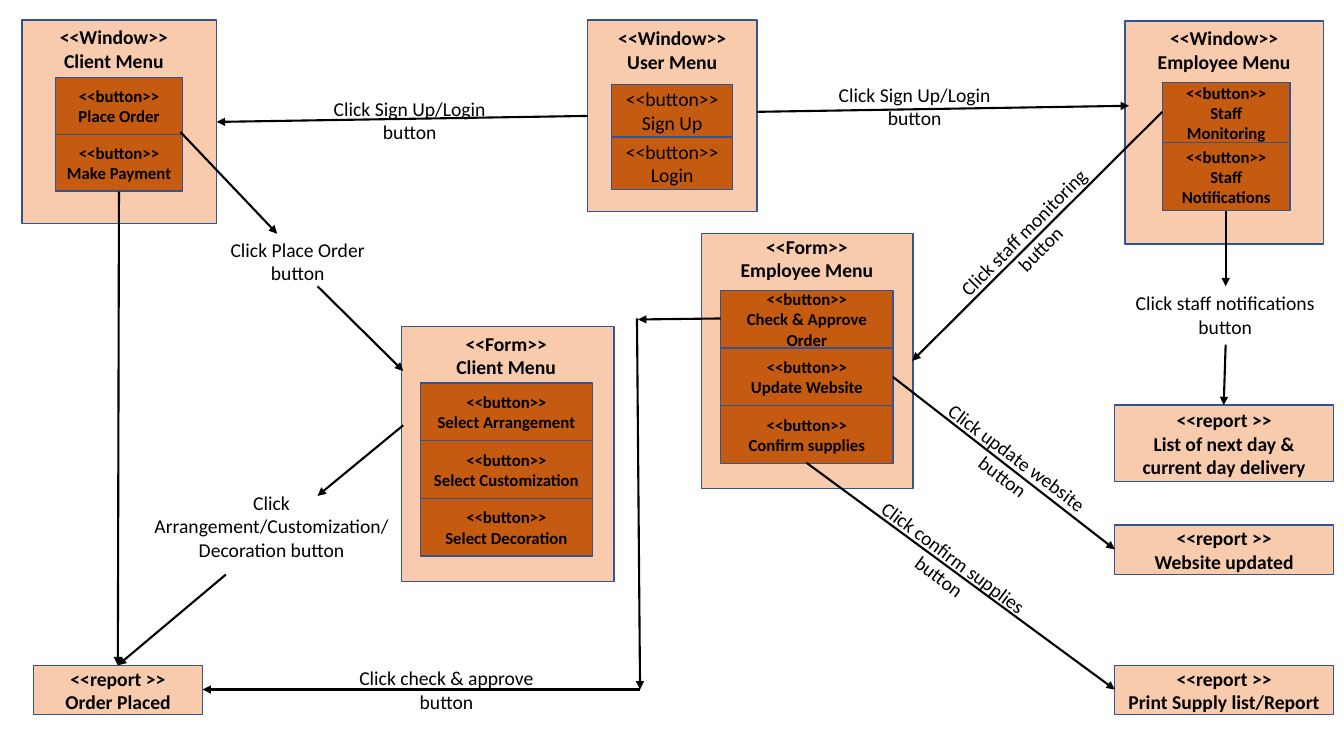
from dataclasses import dataclass

from lxml.etree import SubElement
from pptx import Presentation
from pptx.dml.color import RGBColor
from pptx.enum.shapes import MSO_CONNECTOR, MSO_SHAPE
from pptx.enum.text import MSO_ANCHOR, MSO_AUTO_SIZE, PP_ALIGN
from pptx.oxml.ns import qn
from pptx.util import Pt


@dataclass(frozen=True)
class Theme:
    font: str = "Calibri"
    ink: str = "000000"
    panel: str = "F8CBAD"
    button: str = "C55A11"
    border: str = "325491"
    body: int = 14
    small: int = 12
    edge: float = 1
    arrow: float = 1.5


THEME = Theme()

# kind, name, panel box, heading centre and top,
# first button (left, top, width), button format, (label, height) of each button
PANELS = [
    ("<<Window>>", "User Menu", (419.8, 14.4, 121, 136.8), (480.2, 15.1),
     (437, 60.5, 86.4), {"bold": False, "size": THEME.body},
     [("Sign Up", 37.4), ("Login", 37.4)]),
    ("<<Window>>", "Client Menu", (15.8, 14.4, 139, 145.4), (81.4, 14.4),
     (39.6, 55.4, 91), {}, [("Place Order", 40.6), ("Make Payment", 40.6)]),
    ("<<Window>>", "Employee Menu", (803.5, 15.1, 141.8, 159.1), (874.4, 15.1),
     (830.2, 59, 91.4), {},
     [("Staff Monitoring", 43), ("Staff Notifications", 48.5)]),
    ("<<Form>>", "Client Menu", (286.6, 233.3, 152, 182.2), (361.6, 233.3),
     (300.2, 273.6, 123.1), {},
     [("Select Arrangement", 41.2), ("Select Customization", 41.2),
      ("Select Decoration", 41.2)]),
    ("<<Form>>", "Employee Menu", (501.1, 167, 151, 182.2), (576.4, 164.2),
     (514.8, 207.4, 123.1), {},
     [("Check & Approve Order", 41.2), ("Update Website", 41.2),
      ("Confirm supplies", 41.2)]),
]

REPORTS = [
    ("Order Placed", (23.8, 475.2, 121, 35.3)),
    ("List of next day & current day delivery", (796.3, 289.4, 156.2, 54.7)),
    ("Website updated", (796.3, 375.1, 156.2, 35.3)),
    ("Print Supply list/Report", (796.3, 475.2, 156.2, 35.3)),
]

# lines, box, rotation
LABELS = [
    (["Click Sign Up/Login", "button"], (582.5, 55.4, 141.8, 41), 0),
    (["Click Sign Up/Login", "button"], (225.4, 65.5, 134.6, 41), 0),
    (["Click Place Order", "button"], (145.4, 166.3, 134.6, 41), 0),
    (["Click Arrangement/Customization/Decoration button"],
     (101.5, 347, 185, 58.3), 0),
    (["Click check & approve", "button"], (241.2, 472.3, 155.5, 41), 0),
    (["Click confirm supplies", "button"], (598.3, 384.5, 155.5, 41), 36.7),
    (["Click update website", "button"], (643.7, 313.2, 155.5, 41), 36.7),
    (["Click staff monitoring", "button"], (660.2, 151.2, 153.4, 41), 314.6),
    (["Click staff notifications", "button"], (798.5, 204.5, 153.4, 41), 0),
]

# start x, start y, end x, end y
ARROWS = [
    (540.7, 79.9, 806.4, 75.6),
    (419.8, 82.8, 154.8, 87.1),
    (128.9, 94.3, 198, 167),
    (226.8, 204.5, 288, 265),
    (85, 136.8, 84.2, 475.2),
    (288, 303.8, 226.8, 354.2),
    (161.3, 410.4, 84.2, 475.2),
    (514.8, 227.5, 455.8, 228.2),
    (455, 227.5, 457.2, 492.5),
    (457.2, 492.5, 144.7, 492.5),
    (637.9, 269.3, 796.3, 392.4),
    (576, 330.5, 796.3, 492.5),
    (830.2, 79.9, 651.6, 257.8),
    (875.5, 150.5, 875.5, 204.5),
    (875.5, 246.2, 874.1, 289.4),
]


def color(code):
    return RGBColor.from_string(code)


def write(shape, lines, *, size=THEME.body, bold=False, wrap=True,
          anchor=MSO_ANCHOR.TOP, grow=False):
    frame = shape.text_frame
    frame.word_wrap = wrap
    frame.vertical_anchor = anchor
    frame.auto_size = (MSO_AUTO_SIZE.SHAPE_TO_FIT_TEXT if grow
                       else MSO_AUTO_SIZE.NONE)
    frame.text = "\n".join(lines)
    for para in frame.paragraphs:
        para.alignment = PP_ALIGN.CENTER
        for run in para.runs:
            font = run.font
            font.name, font.size, font.bold = THEME.font, Pt(size), bold
            font.color.rgb = color(THEME.ink)


def add_box(slide, box, fill):
    shape = slide.shapes.add_shape(MSO_SHAPE.RECTANGLE, *map(Pt, box))
    shape.shadow.inherit = False
    shape.fill.solid()
    shape.fill.fore_color.rgb = color(fill)
    shape.line.color.rgb = color(THEME.border)
    shape.line.width = Pt(THEME.edge)
    return shape


def add_label(slide, lines, box, turn=0, **form):
    label = slide.shapes.add_textbox(*map(Pt, box))
    label.rotation = turn
    write(label, lines, grow=True, **form)


def add_panel(slide, kind, name, box, head, start, form, buttons):
    """Draw a panel with its heading and its buttons stacked downwards."""
    add_box(slide, box, THEME.panel)
    mid, top = head
    width = 110
    add_label(slide, [kind, name], (mid - width / 2, top, width, 41),
              bold=True, wrap=False)
    left, top, width = start
    style = {"size": THEME.small, "bold": True} | form
    for text, height in buttons:
        button = add_box(slide, (left, top, width, height), THEME.button)
        write(button, ["<<button>>", text], anchor=MSO_ANCHOR.MIDDLE, **style)
        top += height


def add_arrow(slide, ends):
    arrow = slide.shapes.add_connector(MSO_CONNECTOR.STRAIGHT, *map(Pt, ends))
    arrow.line.color.rgb = color(THEME.ink)
    arrow.line.width = Pt(THEME.arrow)
    SubElement(arrow.line._get_or_add_ln(), qn("a:tailEnd"), type="triangle")
    SubElement(arrow._element.spPr, qn("a:effectLst"))


def main():
    deck = Presentation()
    deck.slide_width, deck.slide_height = Pt(960), Pt(540)
    slide = deck.slides.add_slide(deck.slide_layouts[6])
    for panel in PANELS:
        add_panel(slide, *panel)
    for name, box in REPORTS:
        write(add_box(slide, box, THEME.panel), ["<<report >>", name],
              bold=True, anchor=MSO_ANCHOR.MIDDLE)
    for label in LABELS:
        add_label(slide, *label)
    for ends in ARROWS:
        add_arrow(slide, ends)
    deck.save("out.pptx")


if __name__ == "__main__":
    main()
